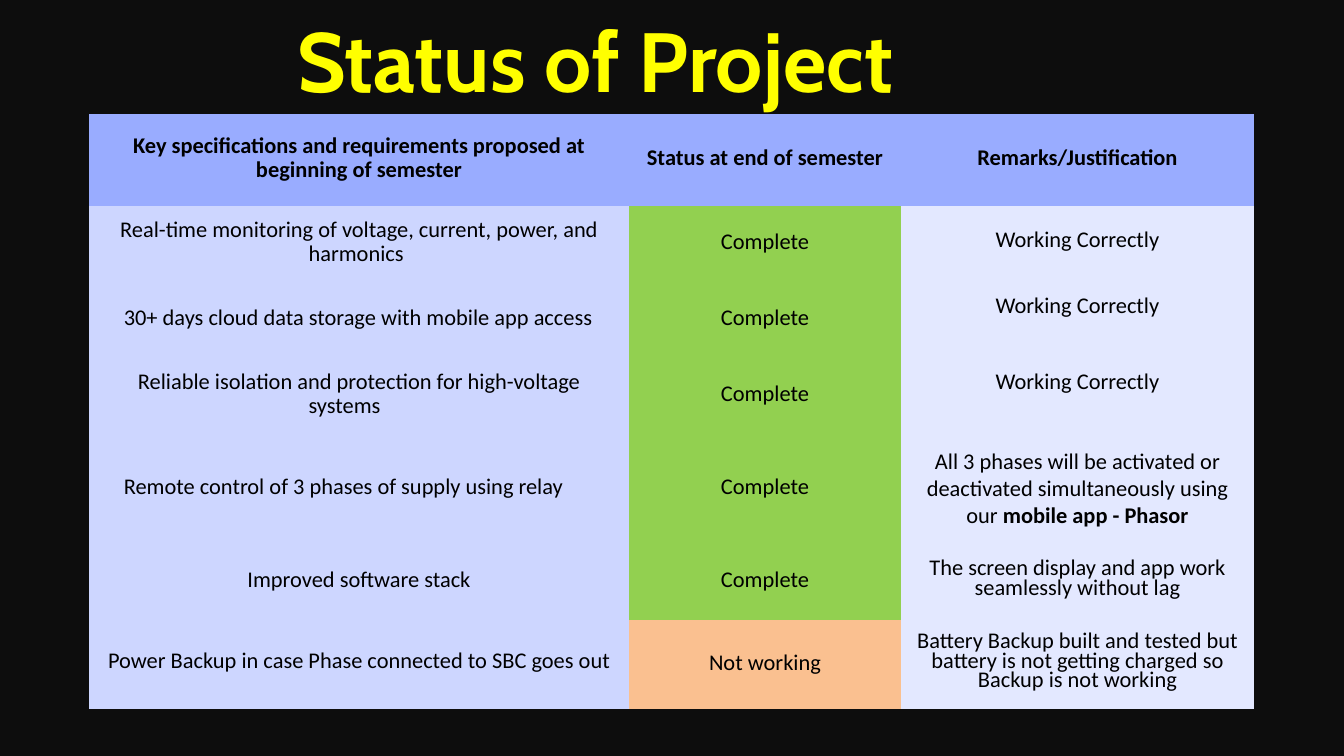
from dataclasses import dataclass

from lxml.etree import SubElement
from pptx import Presentation
from pptx.dml.color import RGBColor
from pptx.enum.text import MSO_ANCHOR as Anchor, MSO_AUTO_SIZE as AutoSize, PP_ALIGN as Align
from pptx.oxml.ns import qn
from pptx.util import Emu, Pt


@dataclass(frozen=True)
class Theme:
    background: str = "0D0D0D"
    title: str = "FFFF00"
    text: str = "000000"
    header: str = "99ACFF"
    requirement: str = "CDD6FF"
    remark: str = "E3E8FF"
    complete: str = "92D050"
    not_working: str = "FAC090"
    title_font: str = "Cabin"
    body_font: str = "Calibri"
    title_size: int = 90
    body_size: int = 24
    title_spacing: float = 87.3
    normal_spacing: float = 25.2
    tight_spacing: float = 21
    cell_margin: int = 14


def px(length):
    """Convert pixels to EMU at 67.2 px per inch."""
    return Emu(round(length * 914400 / 67.2))


class SlideBuilder:
    def __init__(self, presentation, theme):
        self.theme = theme
        self.slide = presentation.slides.add_slide(presentation.slide_layouts[5])
        fill = self.slide.background.fill
        fill.solid()
        fill.fore_color.rgb = RGBColor.from_string(theme.background)

    def style_font(self, font, name, size, color, bold):
        font.name, font.size, font.bold = name, Pt(size), bold
        font.color.rgb = RGBColor.from_string(color)

    def title(self, text, left, top, width, height):
        theme, shape = self.theme, self.slide.shapes.title
        shape.left, shape.top, shape.width, shape.height = map(px, (left, top, width, height))
        frame = shape.text_frame
        frame.text = text
        frame.word_wrap = True
        frame.auto_size = AutoSize.SHAPE_TO_FIT_TEXT
        frame.vertical_anchor = Anchor.TOP
        frame.margin_left = frame.margin_top = frame.margin_right = frame.margin_bottom = 0
        paragraph = frame.paragraphs[0]
        paragraph.alignment = Align.LEFT
        paragraph.line_spacing = Pt(theme.title_spacing)
        self.style_font(paragraph.runs[0].font, theme.title_font, theme.title_size,
                        theme.title, True)

    def table(self, left, top, widths, heights):
        table = self.slide.shapes.add_table(
            len(heights), len(widths), px(left), px(top),
            px(sum(widths)), px(sum(heights))).table
        table.horz_banding = False
        for column, width in zip(table.columns, widths):
            column.width = px(width)
        for row, height in zip(table.rows, heights):
            row.height = px(height)
        return table

    def cell(self, cell, text, fill, spacing=None, bold=False, bold_end="", lift=0):
        theme = self.theme
        # Borders come before the fill in the cell properties
        properties = cell._tc.get_or_add_tcPr()
        for side in ("a:lnL", "a:lnR", "a:lnT", "a:lnB"):
            SubElement(SubElement(properties, qn(side), w="0"), qn("a:noFill"))
        cell.fill.solid()
        cell.fill.fore_color.rgb = RGBColor.from_string(fill)
        cell.vertical_anchor = Anchor.MIDDLE
        cell.margin_left = cell.margin_right = cell.margin_top = px(theme.cell_margin)
        cell.margin_bottom = px(theme.cell_margin + lift)

        paragraph = cell.text_frame.paragraphs[0]
        paragraph.text = text
        paragraph.alignment = Align.CENTER
        if spacing:
            paragraph.line_spacing = Pt(spacing)
        if bold_end:
            paragraph.add_run().text = bold_end
        for index, run in enumerate(paragraph.runs):
            self.style_font(run.font, theme.body_font, theme.body_size, theme.text,
                            bold or index > 0)


HEADERS = ("Key specifications and requirements proposed at beginning of semester",
           "Status at end of semester", "Remarks/Justification")

# Requirement, status, remark, cell options of the remark
# A closing tab shifts the centred line to the left
STATUS_ROWS = (
    ("Real-time monitoring of voltage, current, power, and harmonics\t",
     "Complete", "Working Correctly", {}),
    ("30+ days cloud data storage with mobile app access\t",
     "Complete", "Working Correctly", {"lift": 20}),
    ("Reliable isolation and protection for high-voltage systems\t",
     "Complete", "Working Correctly", {"lift": 20}),
    ("Remote control of 3 phases of supply using relay\t", "Complete",
     "All 3 phases will be activated or deactivated simultaneously using our ",
     {"spacing": None, "bold_end": "mobile app - Phasor"}),
    ("Improved software stack", "Complete",
     "The screen display and app work seamlessly without lag", {}),
    ("Power Backup in case Phase connected to SBC goes out", "Not working",
     "Battery Backup built and tested but battery is not getting charged "
     "so Backup is not working", {}),
)


def main():
    presentation = Presentation()
    presentation.slide_width, presentation.slide_height = px(1344), px(756)
    theme = Theme()
    builder = SlideBuilder(presentation, theme)

    # Title
    builder.title("Status of Project", 297, 28, 1121, 87)

    # Status table
    table = builder.table(89, 114, (540, 272, 353), (92, 76, 76, 76, 110, 76, 89))
    for column, header in enumerate(HEADERS):
        builder.cell(table.cell(0, column), header, theme.header,
                     theme.normal_spacing, bold=True)

    status_fills = {"Complete": theme.complete, "Not working": theme.not_working}
    for row, (requirement, status, remark, options) in enumerate(STATUS_ROWS, start=1):
        last = row == len(STATUS_ROWS)
        builder.cell(table.cell(row, 0), requirement, theme.requirement,
                     theme.tight_spacing if last else theme.normal_spacing)
        builder.cell(table.cell(row, 1), status, status_fills[status], theme.normal_spacing)
        builder.cell(table.cell(row, 2), remark, theme.remark,
                     **{"spacing": theme.tight_spacing, **options})

    presentation.save("out.pptx")


if __name__ == "__main__":
    main()
